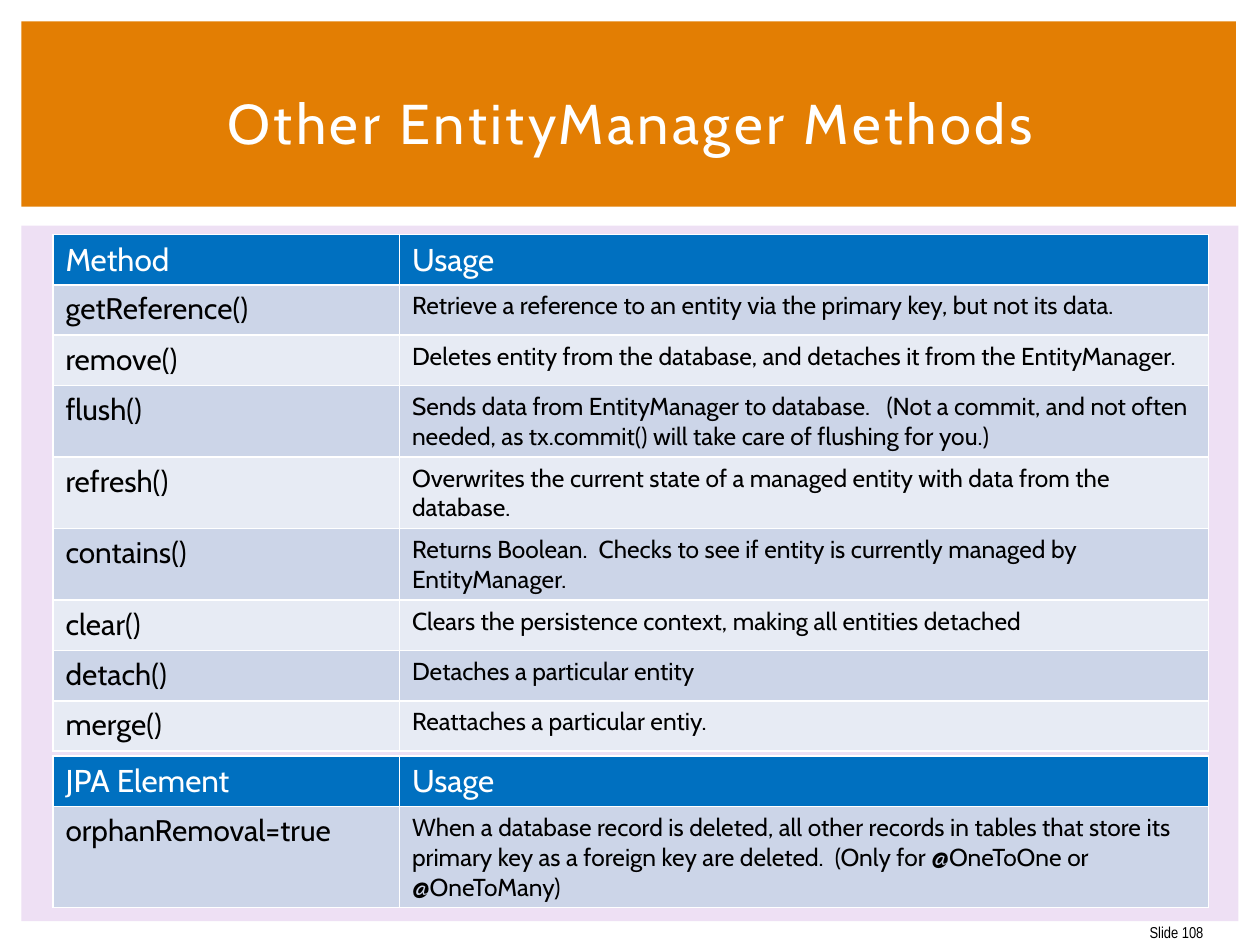
from lxml.etree import SubElement
from pptx import Presentation
from pptx.dml.color import RGBColor
from pptx.enum.shapes import MSO_SHAPE
from pptx.enum.text import MSO_ANCHOR, PP_ALIGN
from pptx.oxml.ns import qn
from pptx.util import Inches, Pt

ORANGE = RGBColor(0xE3, 0x7E, 0x03)
LILAC = RGBColor(0xEE, 0xE0, 0xF4)
BLUE = RGBColor(0x00, 0x70, 0xC0)
BAND_DARK = RGBColor(0xCC, 0xD5, 0xE8)
BAND_LIGHT = RGBColor(0xE7, 0xEB, 0xF4)
WHITE = RGBColor(0xFF, 0xFF, 0xFF)
BLACK = RGBColor(0x00, 0x00, 0x00)

METHODS = [
    ("Method", "Usage"),
    ("getReference()", "Retrieve a reference to an entity via the primary key, but not its data."),
    ("remove()", "Deletes entity from the database, and detaches it from the EntityManager."),
    ("flush()", "Sends data from EntityManager to database.   (Not a commit, and not often "
                "needed, as tx.commit() will take care of flushing for you.)"),
    ("refresh()", "Overwrites the current state of a managed entity with data from the database."),
    ("contains()", "Returns Boolean.  Checks to see if entity is currently managed by EntityManager."),
    ("clear()", "Clears the persistence context, making all entities detached"),
    ("detach()", "Detaches a particular entity"),
    ("merge()", "Reattaches a particular entiy."),
]
ELEMENTS = [
    ("JPA Element", "Usage"),
    ("orphanRemoval=true", "When a database record is deleted, all other records in tables that store its "
                           "primary key as a foreign key are deleted.  (Only for @OneToOne or @OneToMany)"),
]


class SlideBuilder:
    font_name = "Cabin"
    header_size, name_size, usage_size = 18, 17, 14
    column_widths = (2.75, 6.42)
    row_height = 0.4

    def __init__(self, slide):
        self.slide = slide

    def style(self, paragraph, size, color, font_name=None):
        paragraph.font.name = font_name or self.font_name
        paragraph.font.size = Pt(size)
        paragraph.font.color.rgb = color

    def panel(self, left, top, width, height, color):
        shape = self.slide.shapes.add_shape(
            MSO_SHAPE.RECTANGLE, Inches(left), Inches(top), Inches(width), Inches(height))
        shape.shadow.inherit = False
        shape.fill.solid()
        shape.fill.fore_color.rgb = color
        shape.line.fill.background()

    def text(self, left, top, width, height, words, size, color, align,
             font_name=None, spacing=None, wrap=True):
        box = self.slide.shapes.add_textbox(
            Inches(left), Inches(top), Inches(width), Inches(height))
        frame = box.text_frame
        frame.word_wrap = wrap
        frame.vertical_anchor = MSO_ANCHOR.MIDDLE
        paragraph = frame.paragraphs[0]
        paragraph.alignment = align
        run = paragraph.add_run()
        run.text = words
        self.style(paragraph, size, color, font_name)
        if spacing:
            run.font._element.set("spc", str(spacing * 100))

    def cell(self, cell, words, size, color, fill):
        properties = cell._tc.get_or_add_tcPr()
        for side in ("a:lnL", "a:lnR", "a:lnT", "a:lnB"):
            line = SubElement(properties, qn(side), w=str(Pt(1)))
            solid = SubElement(line, qn("a:solidFill"))
            SubElement(solid, qn("a:srgbClr"), val=str(WHITE))
        cell.fill.solid()
        cell.fill.fore_color.rgb = fill
        cell.text = words
        self.style(cell.text_frame.paragraphs[0], size, color)

    def table(self, left, top, rows):
        table = self.slide.shapes.add_table(
            len(rows), len(self.column_widths), Inches(left), Inches(top),
            Inches(sum(self.column_widths)), Inches(self.row_height * len(rows))).table
        for column, width in zip(table.columns, self.column_widths):
            column.width = Inches(width)
        for index, row in enumerate(rows):
            if index == 0:
                sizes, color, fill = (self.header_size,) * 2, WHITE, BLUE
            else:
                sizes, color = (self.name_size, self.usage_size), BLACK
                fill = BAND_DARK if index % 2 else BAND_LIGHT
            for column, (words, size) in enumerate(zip(row, sizes)):
                self.cell(table.cell(index, column), words, size, color, fill)


def main():
    presentation = Presentation()
    presentation.slide_width = Inches(10)
    presentation.slide_height = Inches(7.5)
    builder = SlideBuilder(presentation.slides.add_slide(presentation.slide_layouts[6]))

    # Background panels and slide number
    builder.panel(0.17, 1.79, 9.66, 5.52, LILAC)
    builder.panel(0.17, 0.17, 9.64, 1.47, ORANGE)
    builder.text(9.01, 7.25, 0.64, 0.3, "Slide 108", 9, BLACK, PP_ALIGN.RIGHT,
                 font_name="Arial Narrow", wrap=False)

    # Title
    builder.text(0.42, 0.39, 9.17, 1.15, "Other EntityManager Methods", 32, WHITE,
                 PP_ALIGN.CENTER, spacing=2)

    # Method and element tables
    builder.table(0.42, 1.86, METHODS)
    builder.table(0.42, 6, ELEMENTS)

    presentation.save("out.pptx")


if __name__ == "__main__":
    main()
